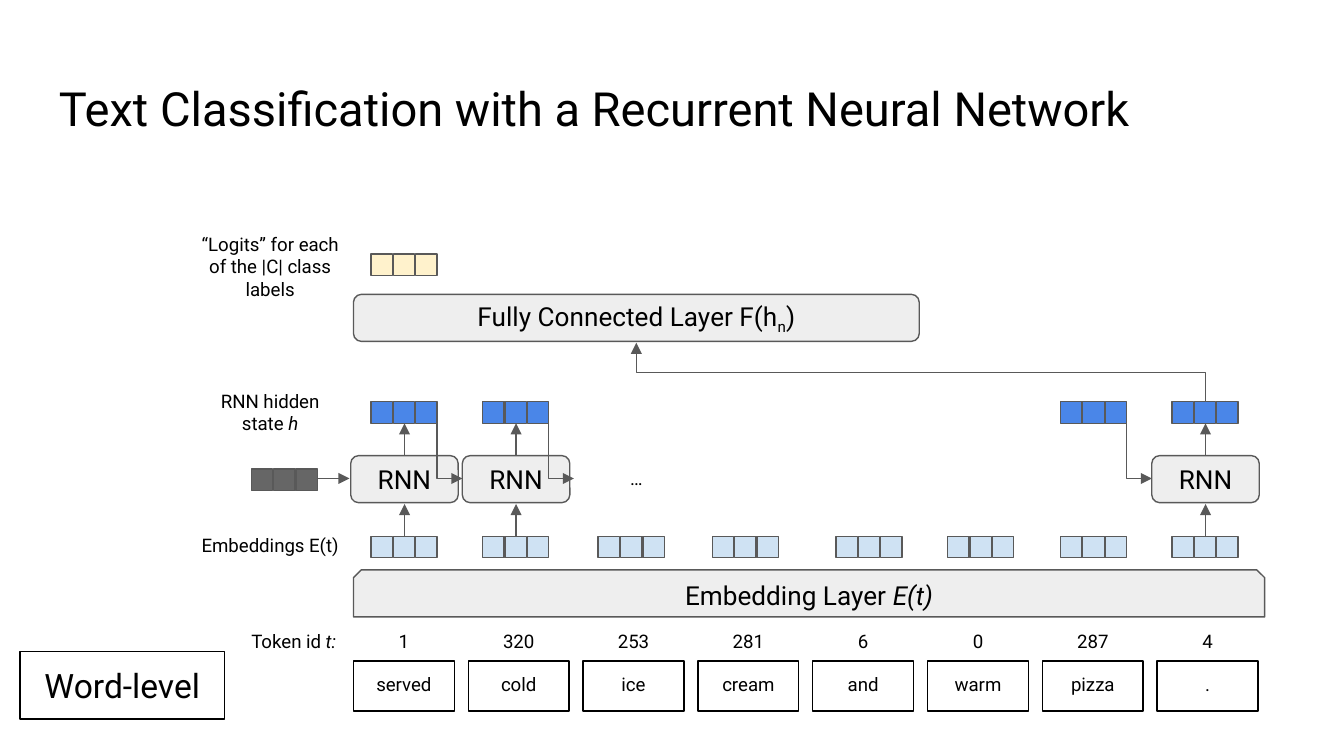
import pptx
import pptx.dml.color
import pptx.enum.shapes
import pptx.enum.text
import pptx.oxml
import pptx.oxml.ns
import pptx.util

Inches = pptx.util.Inches
SHAPE = pptx.enum.shapes.MSO_SHAPE
CONNECTOR = pptx.enum.shapes.MSO_CONNECTOR
ALIGN = pptx.enum.text.PP_ALIGN
ANCHOR = pptx.enum.text.MSO_ANCHOR
FIT = pptx.enum.text.MSO_AUTO_SIZE

COLORS = {
    "text": "000000", "line": "595959", "layer": "EEEEEE", "embedding": "CFE2F3",
    "hidden": "4A86E8", "logits": "FFF2CC", "initial": "666666",
}
FONT = "Roboto"
CELL, CELL_STEP = 0.16, 1 / 6
VECTOR_MID = 0.25
RNN_W, RNN_H = 0.8, 0.35
LABEL_X, LABEL_W = 1.39, 1.24

TOKENS = [("served", 1), ("cold", 320), ("ice", 253), ("cream", 281),
          ("and", 6), ("warm", 0), ("pizza", 287), (".", 4)]
VECTOR_X = [2.76, 3.59, 4.45, 5.30, 6.22, 7.05, 7.89, 8.72]


def rgb(name):
    return pptx.dml.color.RGBColor.from_string(COLORS[name])


def write(sp, text, size=10, align=ALIGN.CENTER, anchor=ANCHOR.TOP, fit=FIT.SHAPE_TO_FIT_TEXT):
    """Fill a shape with a string, or with (text, style) runs."""
    tf = sp.text_frame
    tf.word_wrap = True
    tf.auto_size = fit
    tf.vertical_anchor = anchor
    tf.margin_left = tf.margin_right = tf.margin_top = tf.margin_bottom = Inches(0.1)
    p = tf.paragraphs[0]
    p.alignment = align
    for part, style in [(text, "")] if isinstance(text, str) else text:
        r = p.add_run()
        r.text = part
        r.font.name = FONT
        r.font.size = pptx.util.Pt(size)
        r.font.color.rgb = rgb("text")
        if style == "italic":
            r.font.italic = True
        elif style == "sub":
            r.font._element.set("baseline", "-25000")


def add_label(s, x, y, w, h, text, **fmt):
    sp = s.shapes.add_textbox(Inches(x), Inches(y), Inches(w), Inches(h))
    write(sp, text, **fmt)


def add_box(s, x, y, w, h, text=None, kind=SHAPE.RECTANGLE, fill=None, line="line", **fmt):
    sp = s.shapes.add_shape(kind, Inches(x), Inches(y), Inches(w), Inches(h))
    sp.shadow.inherit = False
    if fill:
        sp.fill.solid()
        sp.fill.fore_color.rgb = rgb(fill)
    else:
        sp.fill.background()
    sp.line.color.rgb = rgb(line)
    sp.line.width = pptx.util.Pt(0.75)
    if text:
        write(sp, text, **fmt)


def add_layer(s, x, y, w, h, text, kind=SHAPE.ROUNDED_RECTANGLE):
    add_box(s, x, y, w, h, text, kind=kind, fill="layer", size=14,
            anchor=ANCHOR.MIDDLE, fit=FIT.NONE)


def add_vector(s, x, y, fill):
    for i in range(3):
        add_box(s, x + i * CELL_STEP, y, CELL, CELL, fill=fill)


def add_arrow(s, x1, y1, x2, y2, bend=None):
    """Straight arrow, or an elbow that leaves its start vertically."""
    if bend:
        # The preset leaves horizontally, so it is laid out turned by 90 degrees
        w, h = abs(y2 - y1), abs(x2 - x1)
        left, top = (x1 + x2 - w) / 2, (y1 + y2 - h) / 2
        ends = (left, top, left + w, top + h)
    else:
        ends = (x1, y1, x2, y2)
    kind = CONNECTOR.ELBOW if bend else CONNECTOR.STRAIGHT
    c = s.shapes.add_connector(kind, *[Inches(v) for v in ends])
    c.line.color.rgb = rgb("line")
    c.line.width = pptx.util.Pt(0.75)
    sp_pr = c._element.spPr
    if bend:
        xfrm = sp_pr.find(pptx.oxml.ns.qn("a:xfrm"))
        xfrm.set("rot", str((270 if y2 > y1 else 90) * 60000))
        xfrm.set("flipH", "1")
        sp_pr.find(pptx.oxml.ns.qn("a:prstGeom")).set("prst", bend)
    ns = pptx.oxml.ns.nsdecls("a")
    c.line._get_or_add_ln().append(pptx.oxml.parse_xml(f'<a:tailEnd {ns} type="triangle"/>'))
    sp_pr.append(pptx.oxml.parse_xml(f"<a:effectLst {ns}/>"))


def token_rows(s, x, y, w):
    """Token ids above the word boxes, spread over the width."""
    add_label(s, x - 0.89, y, 0.89, 0.37, [("Token id ", ""), ("t:", "italic")])
    box_w = 0.75
    step = (w - box_w) / (len(TOKENS) - 1)
    for i, (word, token_id) in enumerate(TOKENS):
        add_label(s, x + i * step, y, box_w, 0.37, str(token_id))
        add_box(s, x + i * step, y + 0.32, box_w, 0.37, word, line="text")


def embedding_region(s, x, y, w):
    """Embedding vectors over the embedding layer."""
    add_layer(s, x, y + 0.25, w, 0.35, [("Embedding Layer ", ""), ("E(t)", "italic")],
              kind=SHAPE.SNIP_2_SAME_RECTANGLE)
    for vx in VECTOR_X:
        add_vector(s, vx, y, "embedding")
    add_label(s, LABEL_X, y - 0.1, LABEL_W, 0.37, "Embeddings E(t)")


def rnn_step(s, x, y):
    """Hidden state, RNN cell and upward arrows; x, y is the hidden state."""
    mid = x + VECTOR_MID
    add_vector(s, x, y, "hidden")
    add_layer(s, x - 0.15, y + 0.4, RNN_W, RNN_H, "RNN")
    add_arrow(s, mid, y + 1, mid, y + 0.76)
    add_arrow(s, mid, y + 0.4, mid, y + 0.16)


def carry_state(s, x, y):
    """Elbow from a hidden state at x, y to the next RNN cell."""
    add_arrow(s, x + 0.49, y + 0.08, x + 0.68, y + 0.57, bend="bentConnector2")


def recurrent_region(s, y):
    add_label(s, LABEL_X, y - 0.19, LABEL_W, 0.54, [("RNN hidden state ", ""), ("h", "italic")])
    first, second, before_last, last = [VECTOR_X[i] for i in (0, 1, -2, -1)]
    for x in (first, second, last):
        rnn_step(s, x, y)
    add_vector(s, before_last, y, "hidden")
    for x in (first, second, before_last):
        carry_state(s, x, y)
    add_label(s, 4.36, y + 0.4, 0.75, 0.37, "…")
    # Initial state
    add_vector(s, 1.87, y + 0.5, "initial")
    add_arrow(s, 2.36, y + 0.57, 2.6, y + 0.57)


def classifier_region(s, x, y, w, hidden_y):
    """Logits over the fully connected layer, fed by the last hidden state."""
    add_layer(s, x, y + 0.3, w, 0.35,
              [("Fully Connected Layer F(h", ""), ("n", "sub"), (")", "")])
    add_vector(s, VECTOR_X[0], y, "logits")
    add_label(s, LABEL_X, y - 0.26, LABEL_W, 0.71, "“Logits” for each of the |C| class labels")
    add_arrow(s, VECTOR_X[-1] + VECTOR_MID, hidden_y, x + w / 2, y + 0.66,
              bend="bentConnector3")


def main():
    prs = pptx.Presentation()
    # 16:9 page
    prs.slide_width, prs.slide_height = Inches(10), Inches(10 * 9 / 16)
    s = prs.slides.add_slide(prs.slide_layouts[6])

    add_label(s, 0.34, 0.49, 9.32, 0.63, "Text Classification with a Recurrent Neural Network",
              size=25.2, align=ALIGN.LEFT, fit=FIT.NONE)
    add_box(s, 0.15, 4.85, 1.52, 0.5, "Word-level", line="text", size=18)
    token_rows(s, 2.63, 4.6, 6.73)
    embedding_region(s, 2.63, 3.99, 6.78)
    recurrent_region(s, 2.99)
    classifier_region(s, 2.63, 1.89, 4.21, 2.99)

    prs.save("out.pptx")


if __name__ == "__main__":
    main()
